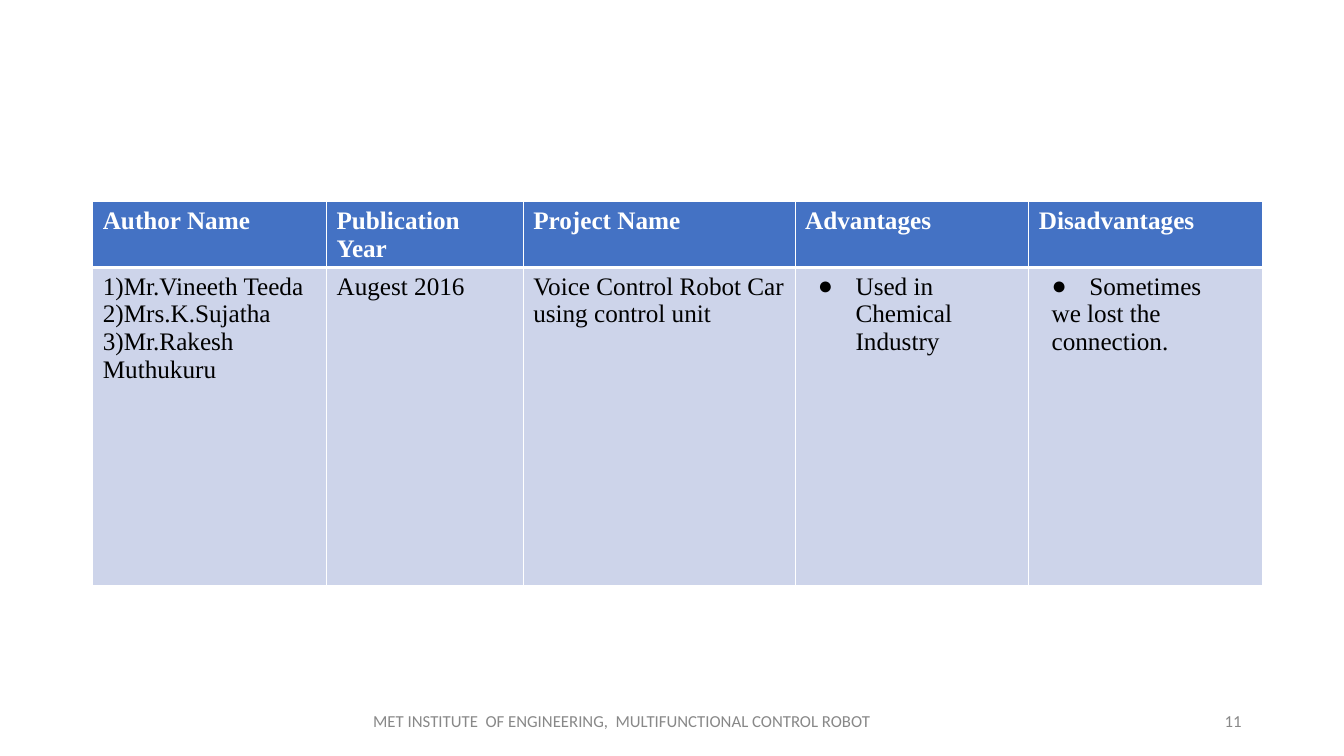
from dataclasses import dataclass

from lxml import etree
from pptx import Presentation
from pptx.dml.color import RGBColor
from pptx.enum import text as txt
from pptx.oxml import ns
from pptx.util import Pt

ALIGN = txt.PP_ALIGN
HEADER_FILL, BODY_FILL = "4472C4", "CDD4EA"
WHITE, BLACK, GREY = "FFFFFF", "000000", "888888"


@dataclass
class Line:
    text: str
    bullet: bool = False
    left: float = 0
    hanging: float = 0


@dataclass
class Column:
    heading: str
    width: float
    lines: list[Line]


@dataclass
class FooterItem:
    text: str
    left: float
    width: float
    align: ALIGN


COLUMNS = [
    Column("Author Name", 167, [
        Line("1)Mr.Vineeth Teeda"),
        Line("2)Mrs.K.Sujatha"),
        Line("3)Mr.Rakesh Muthukuru"),
    ]),
    Column("Publication Year", 140.5, [Line("Augest 2016")]),
    Column("Project Name", 194.25, [Line("Voice Control Robot Car using control unit")]),
    Column("Advantages", 167, [Line("Used in Chemical Industry", True, 36, 27)]),
    Column("Disadvantages", 167, [
        Line("Sometimes", True, 36, 27),
        Line("we lost the connection.", left=9),
    ]),
]
FOOTER = [
    FooterItem("MET INSTITUTE  OF ENGINEERING,  MULTIFUNCTIONAL CONTROL ROBOT",
               247, 394.5, ALIGN.CENTER),
    FooterItem("11", 678, 216, ALIGN.RIGHT),
]


def rgb(hex_color: str) -> RGBColor:
    return RGBColor.from_string(hex_color)


def add_child(parent, tag: str, **attributes: str):
    return etree.SubElement(parent, ns.qn(tag), attributes)


def write(paragraph, content: str, *, size: float = 18, font: str = "Times New Roman",
          color: str = BLACK, bold: bool = False, align: ALIGN = ALIGN.LEFT) -> None:
    paragraph.alignment = align
    run = paragraph.add_run()
    run.text = content
    run.font.size = Pt(size)
    run.font.name = font
    run.font.bold = bold
    run.font.color.rgb = rgb(color)


def indent(paragraph, line: Line) -> None:
    properties = paragraph._p.get_or_add_pPr()
    properties.set("marL", str(Pt(line.left)))
    properties.set("indent", str(-Pt(line.hanging)))
    if line.bullet:
        add_child(add_child(properties, "a:buClr"), "a:srgbClr", val=BLACK)
        add_child(properties, "a:buFont", typeface="Times New Roman")
        add_child(properties, "a:buChar", char="●")


def style_cell(cell, fill: str, bottom_width: float) -> None:
    """Give the cell white borders and a solid fill; borders precede the fill in XML."""
    properties = cell._tc.get_or_add_tcPr()
    for side, width in {"L": 1, "R": 1, "T": 1, "B": bottom_width}.items():
        border = add_child(properties, f"a:ln{side}", w=str(Pt(width)))
        add_child(add_child(border, "a:solidFill"), "a:srgbClr", val=WHITE)
    cell.fill.solid()
    cell.fill.fore_color.rgb = rgb(fill)


def add_survey(slide, columns: list[Column]) -> None:
    total_width = sum(column.width for column in columns)
    survey = slide.shapes.add_table(2, len(columns), Pt(66.25), Pt(144),
                                    Pt(total_width), Pt(272.5)).table
    survey.rows[0].height = Pt(45.5)
    survey.rows[1].height = Pt(227)
    for index, column in enumerate(columns):
        survey.columns[index].width = Pt(column.width)
        heading, body = survey.cell(0, index), survey.cell(1, index)
        style_cell(heading, HEADER_FILL, 3)
        write(heading.text_frame.paragraphs[0], column.heading, color=WHITE, bold=True)
        style_cell(body, BODY_FILL, 1)
        for number, line in enumerate(column.lines):
            frame = body.text_frame
            paragraph = frame.add_paragraph() if number else frame.paragraphs[0]
            indent(paragraph, line)
            write(paragraph, line.text)


def add_footer(slide, item: FooterItem) -> None:
    frame = slide.shapes.add_textbox(Pt(item.left), Pt(500.5),
                                     Pt(item.width), Pt(28.75)).text_frame
    frame.word_wrap = True
    frame.vertical_anchor = txt.MSO_ANCHOR.MIDDLE
    write(frame.paragraphs[0], item.text, size=12, font="Calibri",
          color=GREY, align=item.align)


def main() -> None:
    deck = Presentation()
    deck.slide_width, deck.slide_height = Pt(960), Pt(540)
    slide = deck.slides.add_slide(deck.slide_layouts[6])
    add_survey(slide, COLUMNS)
    for item in FOOTER:
        add_footer(slide, item)
    deck.save("out.pptx")


if __name__ == "__main__":
    main()
